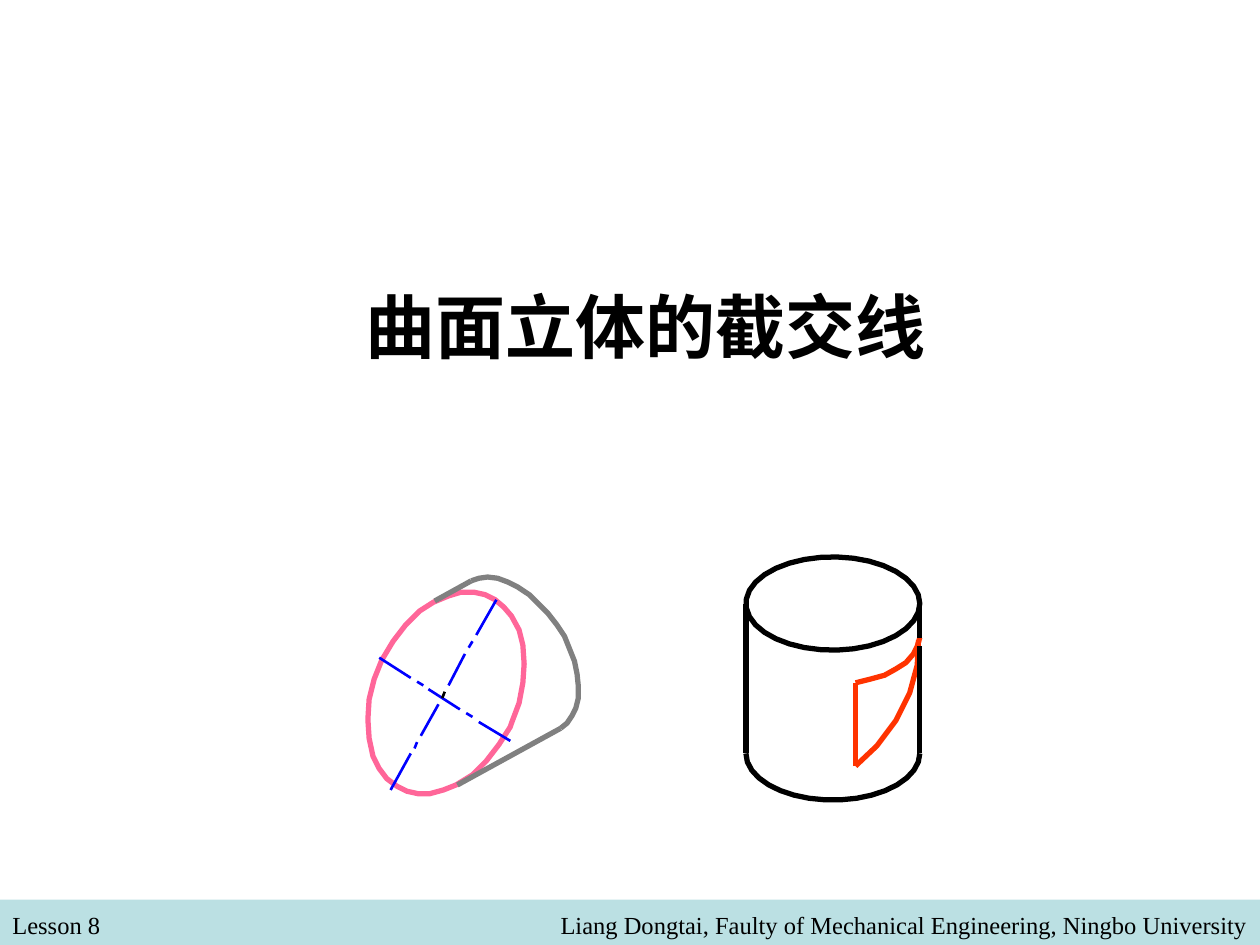
"""Build the title slide on section curves of curved solids."""
from math import cos, pi, sin

from lxml.etree import SubElement
from pptx import Presentation
from pptx.dml.color import RGBColor
from pptx.enum.shapes import MSO_CONNECTOR, MSO_SHAPE
from pptx.enum.text import MSO_ANCHOR, MSO_AUTO_SIZE, PP_ALIGN
from pptx.oxml.ns import qn
from pptx.util import Inches, Pt

TITLE = "曲面立体的截交线"
TITLE_FONT, FOOTER_FONT = "Noto Sans CJK SC", "Times New Roman"
FOOTERS = [
    ("Lesson 8", 0, 4.83, PP_ALIGN.LEFT),
    ("Liang Dongtai, Faulty of Mechanical Engineering, Ningbo University",
     1.83, 8.17, PP_ALIGN.RIGHT),
]
BLACK, GRAY, PINK, BLUE, RED, TEAL = (
    "000000", "808080", "FF6699", "0000FF", "FF3300", "BBE0E3")

BACK_RIM = [
    (4.45, 5.78), (4.5, 5.74), (4.54, 5.68), (4.57, 5.62), (4.59, 5.54),
    (4.59, 5.45), (4.58, 5.35), (4.56, 5.25), (4.52, 5.15), (4.48, 5.05),
    (4.42, 4.96), (4.35, 4.87), (4.27, 4.79), (4.2, 4.72), (4.11, 4.66),
    (4.03, 4.62), (3.95, 4.59), (3.87, 4.58), (3.8, 4.59), (3.74, 4.61)]
CUT_FACE = [
    (4.06, 5.74), (4.12, 5.58), (4.15, 5.42), (4.16, 5.27), (4.15, 5.12),
    (4.12, 5), (4.06, 4.89), (4, 4.82), (3.93, 4.76), (3.85, 4.72),
    (3.76, 4.7), (3.66, 4.7), (3.56, 4.73), (3.44, 4.78), (3.33, 4.85),
    (3.22, 4.96), (3.12, 5.09), (3.03, 5.24), (2.97, 5.39), (2.93, 5.55),
    (2.92, 5.71), (2.93, 5.86), (2.96, 6), (3.01, 6.1), (3.07, 6.18),
    (3.15, 6.24), (3.23, 6.28), (3.32, 6.3), (3.41, 6.3), (3.52, 6.27),
    (3.62, 6.23), (3.75, 6.15), (3.86, 6.04), (3.96, 5.91), (4.05, 5.77),
    (4.06, 5.74)]
CUT_TOP = [
    (6.79, 5.42), (6.91, 5.39), (7.02, 5.36), (7.11, 5.31), (7.19, 5.26),
    (7.25, 5.19), (7.28, 5.13), (7.3, 5.06)]
CUT_SIDE = [
    (7.29, 5.08), (7.28, 5.28), (7.22, 5.5), (7.11, 5.72), (6.96, 5.92),
    (6.79, 6.08)]

SLANTED_SIDES = [(3.74, 4.61, 3.45, 4.77), (3.63, 6.23, 4.45, 5.78)]
AXIS_DASHES = [
    (3.94, 4.76, 3.78, 5.04), (3.75, 5.09, 3.72, 5.14),
    (3.69, 5.19, 3.56, 5.44), (3.48, 5.59, 3.34, 5.84),
    (3.31, 5.89, 3.29, 5.94), (3.26, 5.98, 3.1, 6.27),
    (3.01, 5.22, 3.26, 5.38), (3.31, 5.41, 3.36, 5.44),
    (3.4, 5.47, 3.65, 5.63), (3.7, 5.66, 3.75, 5.69),
    (3.8, 5.73, 4.05, 5.88)]
AXIS_CENTER = [(3.53, 5.49, 3.51, 5.54)]
CUT_EDGE = [(6.79, 6.08, 6.79, 5.42)]
UPRIGHT_SIDES = [
    (5.92, 4.79, 5.92, 5.98), (7.3, 5.06, 7.3, 4.79), (7.3, 5.98, 7.3, 5.13)]
CYLINDER_X, RADIUS_X, RADIUS_Y = 6.61, 0.69, 0.37
TOP_Y, BOTTOM_Y = 4.79, 5.98


def color(value):
    return RGBColor.from_string(value)


def arc(center_y, sweep, steps):
    angles = [sweep * step / steps for step in range(steps + 1)]
    return [(CYLINDER_X + RADIUS_X * cos(angle), center_y + RADIUS_Y * sin(angle))
            for angle in angles]


def draw_curve(page, points, stroke):
    start, *rest = [(Inches(x), Inches(y)) for x, y in points]
    builder = page.shapes.build_freeform(*start)
    builder.add_line_segments(rest, close=False)
    curve = builder.convert_to_shape()
    curve.shadow.inherit = False
    curve.fill.background()
    curve.line.color.rgb = color(stroke)
    curve.line.width = Pt(3)


def draw_lines(page, lines, stroke, width=3):
    for ends in lines:
        line = page.shapes.add_connector(
            MSO_CONNECTOR.STRAIGHT, *[Inches(value) for value in ends])
        line.line.color.rgb = color(stroke)
        line.line.width = Pt(width)
        SubElement(line._element.spPr, qn("a:effectLst"))


def add_footer(page):
    band = page.shapes.add_shape(
        MSO_SHAPE.RECTANGLE, 0, Inches(7.14), Inches(10), Inches(0.36))
    band.shadow.inherit = False
    band.fill.solid()
    band.fill.fore_color.rgb = color(TEAL)
    band.line.fill.background()
    for text, left, width, align in FOOTERS:
        box = page.shapes.add_textbox(
            Inches(left), Inches(7.17), Inches(width), Inches(0.34))
        box.text_frame.word_wrap = True
        para = box.text_frame.paragraphs[0]
        para.text = text
        para.alignment = align
        para.font.name = FOOTER_FONT
        para.font.size = Pt(14)
        para.font.color.rgb = color(BLACK)


def add_title(page):
    title = page.shapes.title
    title.left, title.top = Inches(2), Inches(2)
    title.width, title.height = Inches(6.25), Inches(1.17)
    frame = title.text_frame
    frame.auto_size = MSO_AUTO_SIZE.NONE
    frame.vertical_anchor = MSO_ANCHOR.MIDDLE
    para = frame.paragraphs[0]
    para.alignment = PP_ALIGN.CENTER
    span = para.add_run()
    span.text = TITLE
    span.font.size = Pt(40)
    span.font.bold = True
    span.font.color.rgb = color(BLACK)
    span.font.name = TITLE_FONT
    SubElement(span._r.get_or_add_rPr(), qn("a:ea"), typeface=TITLE_FONT)


def main():
    deck = Presentation()
    deck.slide_width, deck.slide_height = Inches(10), Inches(7.5)
    page = deck.slides.add_slide(deck.slide_layouts[5])
    add_footer(page)
    add_title(page)

    draw_curve(page, BACK_RIM, GRAY)
    draw_curve(page, CUT_FACE, PINK)
    draw_lines(page, SLANTED_SIDES, GRAY)
    draw_lines(page, AXIS_DASHES, BLUE, 1.5)
    draw_lines(page, AXIS_CENTER, BLACK, 1.5)

    draw_curve(page, arc(BOTTOM_Y, pi, 17), BLACK)
    draw_curve(page, arc(TOP_Y, 2 * pi, 33), BLACK)
    draw_curve(page, CUT_TOP, RED)
    draw_curve(page, CUT_SIDE, RED)
    draw_lines(page, CUT_EDGE, RED)
    draw_lines(page, UPRIGHT_SIDES, BLACK)
    deck.save("out.pptx")


if __name__ == "__main__":
    main()
